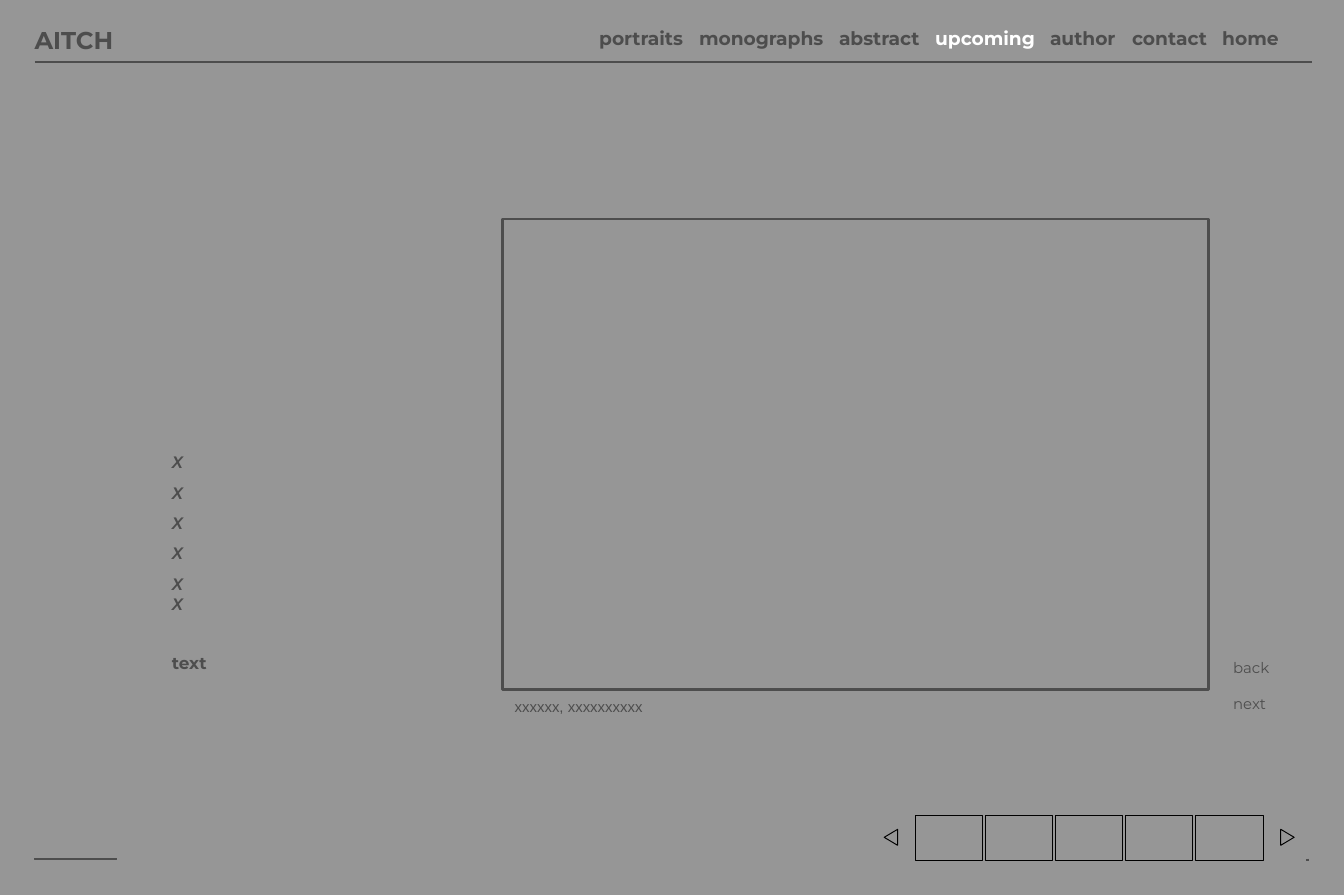
"""Build the upcoming page of a grey portfolio site."""
import pptx
import pptx.util
import pptx.dml.color
import pptx.enum.shapes
import pptx.enum.text
import pptx.oxml
import pptx.oxml.ns

Pt = pptx.util.Pt
Kind = pptx.enum.shapes.MSO_SHAPE
HUES = {"back": "969696", "ink": "4D4D4D", "now": "FFFFFF", "edge": "000000"}

TITLE = "AITCH"
MENU = ["portraits", "monographs", "abstract", "upcoming", "author", "contact", "home"]
NOW = "upcoming"
STOPS = [53.5, 128.5, 180, 241.5, 285.5, 333.75]
STEPS = ["back", "next"]
NOTE = "xxxxxx, xxxxxxxxxx"
ITEMS = ["X"] * 6
LABEL = "text"
RULES = [((18.7, 33.2), (702.7, 33.2), 0.75), ((700.5, 460), (700.5, 461.4), 1.5)]
THUMBS = {"count": 5, "left": 490.3, "top": 437.2, "step": 37.6, "wide": 36, "high": 23.8}
ARROWS = [(473, 270), (685.4, 90)]

deck = pptx.Presentation()
deck.slide_width, deck.slide_height = Pt(720), Pt(479.5)
page = deck.slides.add_slide(deck.slide_layouts[6])


def tint(name):
    return pptx.dml.color.RGBColor.from_string(HUES[name])


def add_box(left, top, wide, high, wrap=False):
    frame = page.shapes.add_textbox(Pt(left), Pt(top), Pt(wide), Pt(high)).text_frame
    frame.word_wrap = wrap
    frame.auto_size = pptx.enum.text.MSO_AUTO_SIZE.SHAPE_TO_FIT_TEXT
    return frame


def add_text(para, text, size=8, face="Montserrat", hue="ink", bold=False, slant=False,
             space=None, lead=None):
    run = para.add_run()
    run.text = text
    font = run.font
    font.size, font.name, font.bold, font.italic = Pt(size), face, bold, slant
    font.color.rgb = tint(hue)
    if space:
        para.space_before = Pt(space)
    if lead:
        para.line_spacing = lead


def add_form(kind, left, top, wide, high, hue="edge", width=0.5, turn=0, fill=None):
    form = page.shapes.add_shape(kind, Pt(left), Pt(top), Pt(wide), Pt(high))
    form.shadow.inherit = False
    form.rotation = turn
    form.line.color.rgb = tint(hue)
    form.line.width = Pt(width)
    if fill:
        form.fill.solid()
        form.fill.fore_color.rgb = tint(fill)
    else:
        form.fill.background()


def add_rule(start, end, width):
    rule = page.shapes.add_connector(
        pptx.enum.shapes.MSO_CONNECTOR.STRAIGHT, *[Pt(v) for v in start + end])
    rule.line.color.rgb = tint("ink")
    rule.line.width = Pt(width)
    pptx.oxml.ns.qn("a:effectLst")
    rule._element.spPr.append(pptx.oxml.parse_xml(
        f'<a:effectLst {pptx.oxml.ns.nsdecls("a")}/>'))


def add_menu():
    para = add_box(313.9, 10.8, 404.6, 20.2, wrap=True).paragraphs[0]
    tabs = "".join(f'<a:tab pos="{Pt(stop)}" algn="l"/>' for stop in STOPS)
    para._p.get_or_add_pPr().append(pptx.oxml.parse_xml(
        f'<a:tabLst {pptx.oxml.ns.nsdecls("a")}>{tabs}</a:tabLst>'))
    for i, word in enumerate(MENU):
        add_text(para, ("\t" if i else "") + word, size=10, bold=True,
                 hue="now" if word == NOW else "ink")


def add_list():
    frame = add_box(85, 233.3, 235.4, 174.2, wrap=True)
    for i, item in enumerate(ITEMS):
        para = frame.add_paragraph() if i else frame.paragraphs[0]
        add_text(para, item, size=9, face="Arial", bold=True, slant=True,
                 lead=1.5 if i < len(ITEMS) - 1 else None)
    add_text(frame.add_paragraph(), LABEL, size=9, bold=True, space=21)


def add_steps():
    frame = add_box(653.5, 349.2, 38.9, 36)
    for i, step in enumerate(STEPS):
        para = frame.add_paragraph() if i else frame.paragraphs[0]
        add_text(para, step, space=9.6 if i else None)


def main():
    page.background.fill.solid()
    page.background.fill.fore_color.rgb = tint("back")
    add_text(add_box(11.5, 10.1, 59.8, 23).paragraphs[0], TITLE, size=13, bold=True)
    add_menu()
    for rule in RULES:
        add_rule(*rule)
    add_form(Kind.RECTANGLE, 269.3, 117.4, 378, 252, hue="ink", width=1.5)
    add_steps()
    add_text(add_box(268.6, 370.1, 83.5, 17.3).paragraphs[0], NOTE, face="Arial")
    for i in range(THUMBS["count"]):
        add_form(Kind.RECTANGLE, THUMBS["left"] + i * THUMBS["step"], THUMBS["top"],
                 THUMBS["wide"], THUMBS["high"])
    add_form(Kind.RECTANGLE, 18.7, 459.8, 43.9, 0.7, hue="ink", fill="ink")
    for left, turn in ARROWS:
        add_form(Kind.ISOSCELES_TRIANGLE, left, 445, 8.6, 7.2, turn=turn)
    add_list()
    deck.save("out.pptx")


if __name__ == "__main__":
    main()
